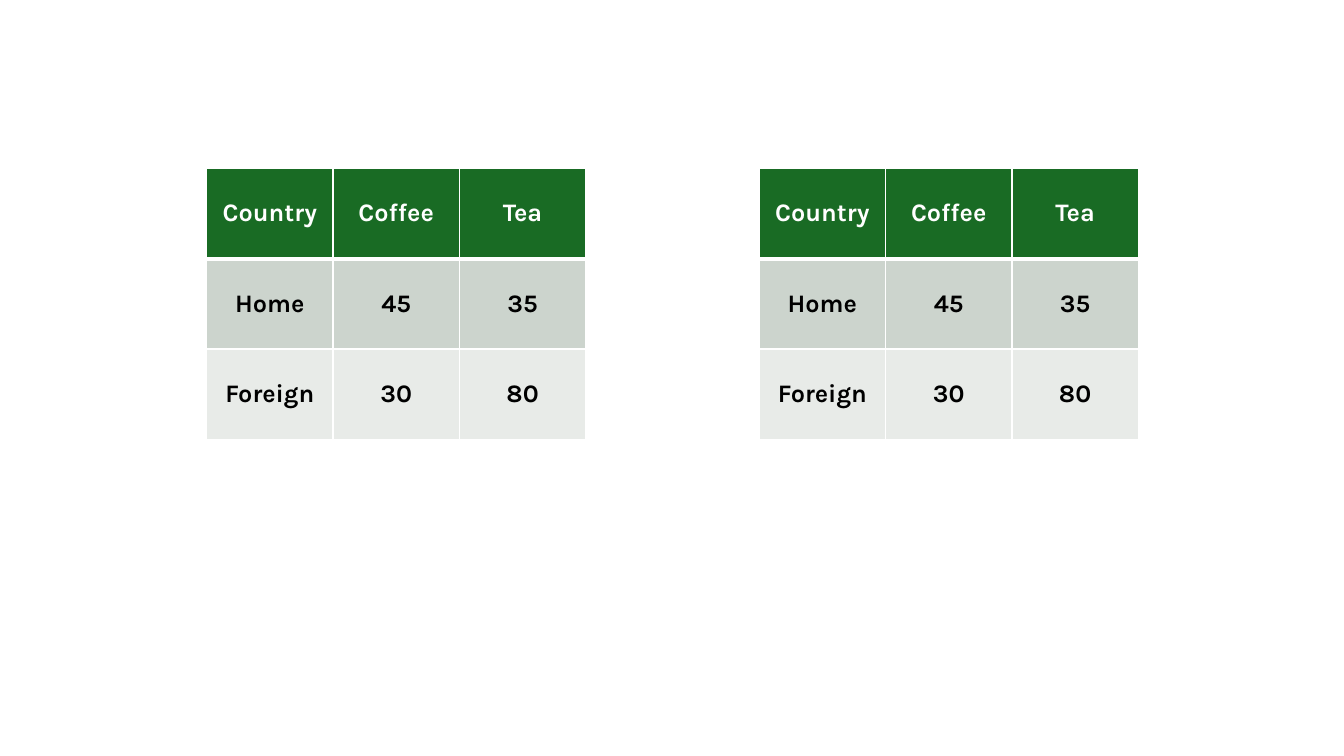
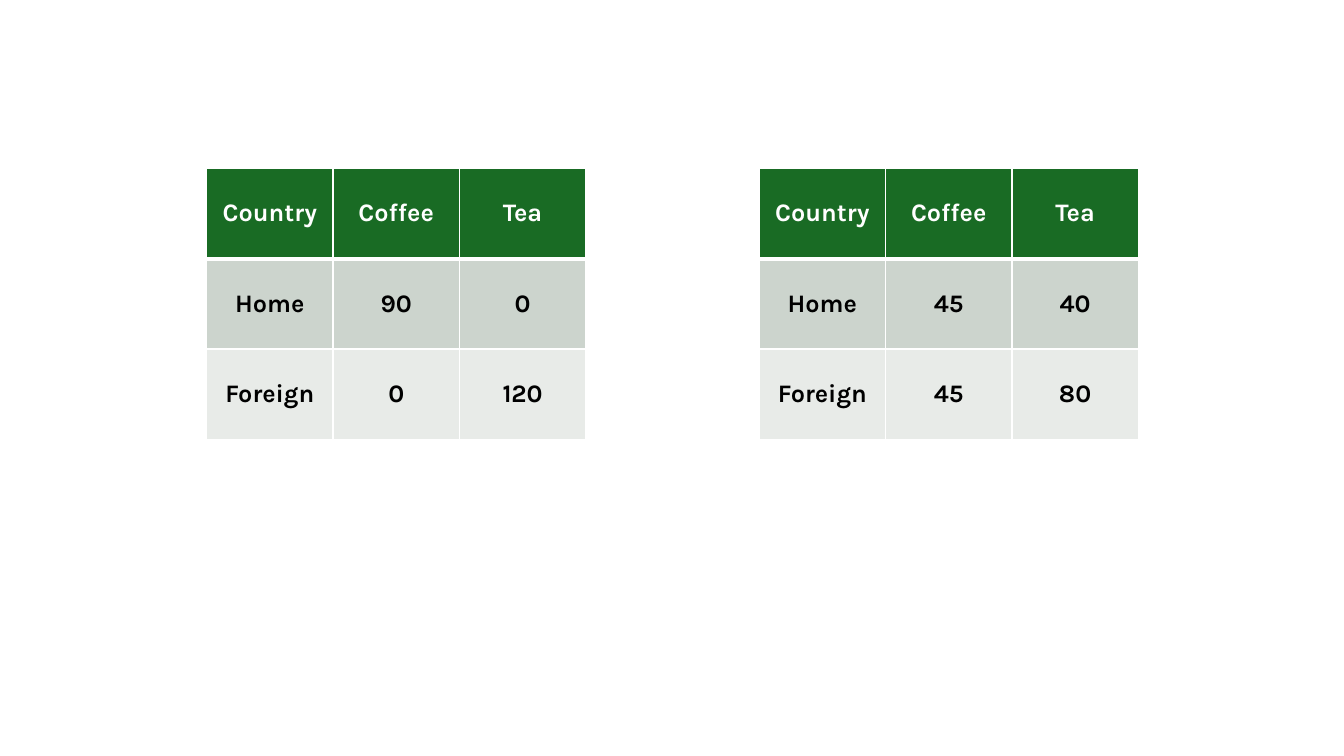
"""Build two slides that each compare a pair of coffee and tea tables."""
from lxml import etree
from pptx import Presentation
from pptx.dml.color import RGBColor
from pptx.enum import text
from pptx.oxml import ns
from pptx.util import Inches, Pt

HEADER = ("Country", "Coffee", "Tea")
SLIDES = [
    [
        [("Home", 45, 35), ("Foreign", 30, 80)],
        [("Home", 45, 35), ("Foreign", 30, 80)],
    ],
    [
        [("Home", 90, 0), ("Foreign", 0, 120)],
        [("Home", 45, 40), ("Foreign", 45, 80)],
    ],
]

COLORS = {
    "header": "196B24",
    "odd_row": "CCD4CD",
    "even_row": "E8EBE8",
    "border": "FFFFFF",
    "header_text": "FFFFFF",
    "body_text": "000000",
}
FONT, FONT_SIZE = "Karla", Pt(18)
TABLE_LEFTS = (Inches(2.05), Inches(7.53))
TABLE_TOP = Inches(1.67)
TABLE_WIDTH, TABLE_HEIGHT = Inches(3.76), Inches(2.69)
THIN, THICK = Pt(1), Pt(3)


def color(name):
    return RGBColor.from_string(COLORS[name])


def add_borders(cell, top, bottom):
    properties = cell._tc.get_or_add_tcPr()
    for side, width in (("L", THIN), ("R", THIN), ("T", top), ("B", bottom)):
        line = etree.SubElement(properties, ns.qn(f"a:ln{side}"), w=str(width))
        fill = etree.SubElement(line, ns.qn("a:solidFill"))
        etree.SubElement(fill, ns.qn("a:srgbClr"), val=COLORS["border"])


def style_cell(cell, row):
    add_borders(cell, THICK if row == 1 else THIN, THICK if row == 0 else THIN)
    fill_name = "header" if row == 0 else "odd_row" if row % 2 else "even_row"
    cell.fill.solid()
    cell.fill.fore_color.rgb = color(fill_name)
    cell.vertical_anchor = text.MSO_ANCHOR.MIDDLE
    paragraph = cell.text_frame.paragraphs[0]
    paragraph.alignment = text.PP_ALIGN.CENTER
    font = paragraph.runs[0].font
    font.name, font.size, font.bold = FONT, FONT_SIZE, True
    font.color.rgb = color("body_text" if row else "header_text")


def add_drinks_table(slide, left, body):
    rows = [HEADER, *body]
    table = slide.shapes.add_table(
        len(rows), len(HEADER), left, TABLE_TOP, TABLE_WIDTH, TABLE_HEIGHT
    ).table
    for row, values in enumerate(rows):
        for column, value in enumerate(values):
            cell = table.cell(row, column)
            cell.text_frame.text = str(value)
            style_cell(cell, row)


def main():
    presentation = Presentation()
    presentation.slide_width = Inches(13.33)
    presentation.slide_height = Inches(7.5)
    for tables in SLIDES:
        slide = presentation.slides.add_slide(presentation.slide_layouts[6])
        for left, body in zip(TABLE_LEFTS, tables):
            add_drinks_table(slide, left, body)
    presentation.save("out.pptx")


if __name__ == "__main__":
    main()
